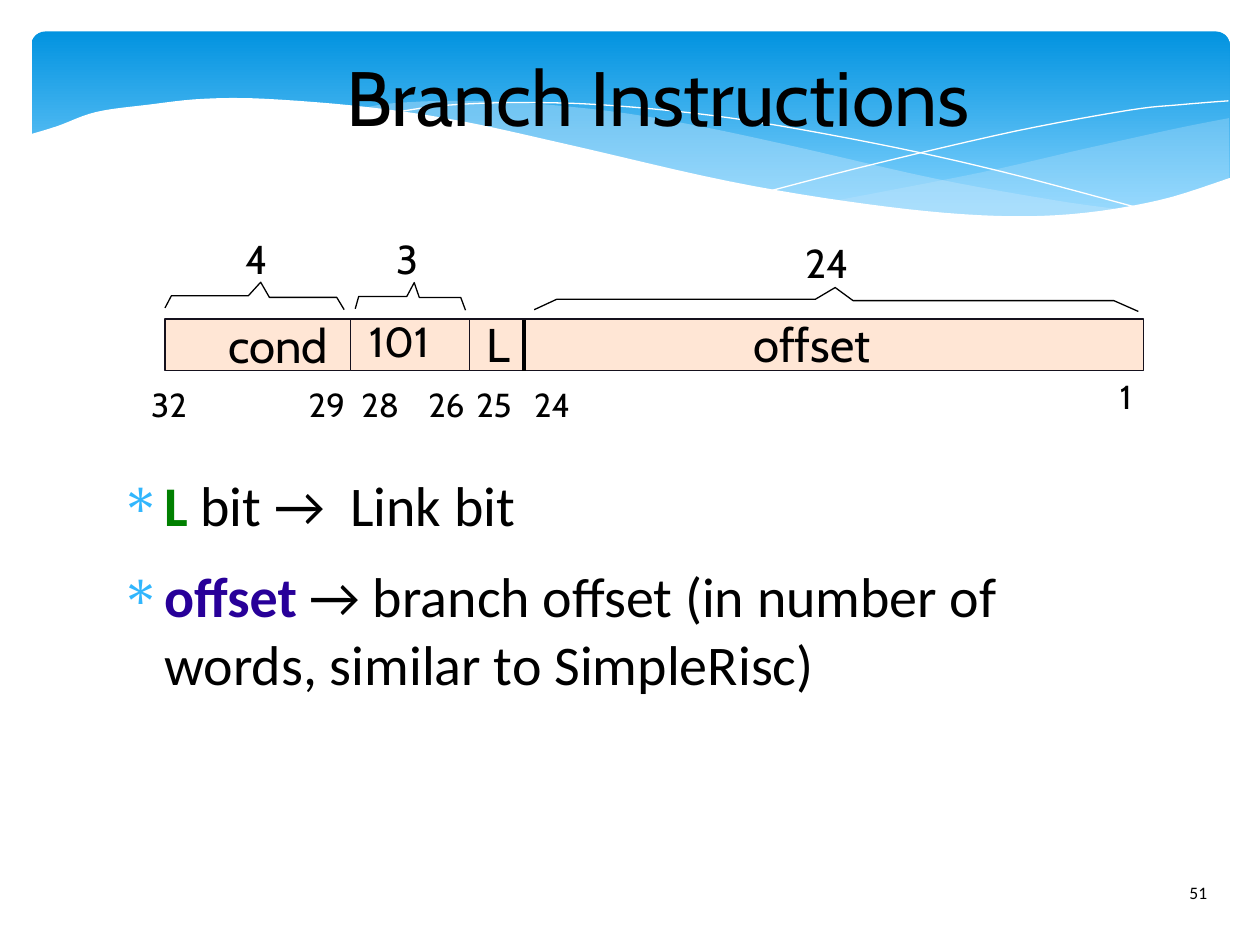
"""Build the Branch Instructions slide with its instruction format diagram."""
from dataclasses import dataclass
from typing import Optional

from lxml.etree import SubElement
from pptx import Presentation
from pptx.dml.color import RGBColor
from pptx.enum.shapes import MSO_CONNECTOR as CONN, MSO_SHAPE as SHAPE
from pptx.enum.text import MSO_ANCHOR as ANCHOR, PP_ALIGN as ALIGN
from pptx.oxml.ns import qn
from pptx.util import Pt

COLORS = {
    "black": "000000", "white": "FFFFFF", "wave": "C6E7FC",
    "sky": "0293E0", "pale": "83D3FE", "field": "FFE6D5", "edge": "15111D",
    "green": "008000", "purple": "280099", "bullet": "31B6FD",
}
Point = tuple[float, float]
Curve = list[Point]


@dataclass
class Outline:
    curves: list[Curve]
    fill: Optional[str] = None
    alpha: int = 100
    line: Optional[str] = None
    smooth: bool = True


@dataclass
class Label:
    text: str
    x: float
    y: float
    w: float
    size: float


@dataclass
class Run:
    text: str
    color: str = "black"
    bold: bool = False


WAVES = [
    Outline([
        [(702.5, 67.5), (672, 73.5), (620, 85), (561, 98.5), (476, 115)],
        [(476, 115), (527, 121), (570, 123.8), (608, 123.1), (652, 118.8),
         (683, 110.9), (702.5, 102)],
    ], "wave", 29),
    Outline([
        [(643, 120), (603, 114.5), (534, 102), (453, 83.5), (399, 72), (352, 64),
         (302, 59), (260, 57.6), (225, 59), (206, 62)],
        [(206, 62), (246, 67.5), (307, 79.5), (382, 97), (468, 113.8),
         (528, 121), (573, 124.2), (610, 124), (643, 120)],
    ], "wave", 40),
    Outline([[(222.5, 64.8), (254, 60.3), (300, 58.6), (352, 60.5), (419, 67.7),
              (500, 82), (572, 98), (653, 119.5)]], line="white"),
    Outline([[(441.4, 108.7), (500, 93.6), (580, 75), (645, 63), (675, 59.8),
              (702, 57.6)]], line="white"),
    Outline([
        [(703.4, 101.5), (662, 114.5), (612, 122.4), (560, 123), (495, 116.6),
         (417, 103.7), (322, 82), (263, 69.1), (210, 61.2), (152, 56.5),
         (116, 56.5), (85, 59.8), (55, 64), (33, 72), (16.6, 77)],
        [(16.6, 161), (703.4, 161)],
    ], "white"),
]
BRACES = [
    Outline([points], line="black", smooth=False) for points in (
        [(94.3, 176), (98, 169), (142, 169), (149, 161.3), (154, 170), (192.5, 170),
         (196.7, 177)],
        [(203, 176.5), (205, 169.4), (232.5, 169.4), (236.7, 161.5), (239.6, 170),
         (263.3, 170), (266, 177.3)],
        [(305.3, 177), (318.2, 171), (466, 171), (477.3, 164.3), (487.5, 171.8),
         (636.5, 171.8), (650.5, 178)],
    )
]
FIELD_EDGES = [94.3, 200.2, 268.4, 653.6]
LABELS = [
    Label("cond", 130.3, 180.7, 71, 27),
    Label("101", 211, 180, 53, 24),
    Label("L", 277.9, 180, 27, 27),
    Label("offset", 430.6, 180, 78, 27),
    Label("4", 140.4, 134, 24, 23),
    Label("3", 226.8, 134, 24, 23),
    Label("24", 460.1, 136, 37, 23),
    Label("1", 640, 215.3, 20, 19),
    *(Label(bit, x, 219.6, 31, 19) for bit, x in (
        ("32", 86.4), ("29", 176.4), ("28", 206.6), ("26", 244.8), ("25", 272.2),
        ("24", 305.3))),
]
BULLETS = [
    [Run("L", "green", True), Run(" bit →  Link bit")],
    [Run("offset", "purple", True),
     Run(" → branch offset (in number of words, similar to SimpleRisc)")],
]


def rgb(name: str) -> RGBColor:
    return RGBColor.from_string(COLORS[name])


def spline(points: Curve, steps: int = 6) -> Curve:
    if len(points) < 3:
        return points
    ends = [points[0], *points, points[-1]]
    out = [points[0]]
    for a, b, c, d in zip(ends, ends[1:], ends[2:], ends[3:]):
        for i in range(1, steps + 1):
            t = i / steps
            x, y = ((2 * q + (r - o) * t + (2 * o - 5 * q + 4 * r - s) * t ** 2
                     + (3 * q - o - 3 * r + s) * t ** 3) / 2
                    for o, q, r, s in zip(a, b, c, d))
            out.append((x, y))
    return out


def style(sp, fill: Optional[str], line: Optional[str]) -> None:
    sp.shadow.inherit = False
    if fill:
        sp.fill.solid()
        sp.fill.fore_color.rgb = rgb(fill)
    else:
        sp.fill.background()
    if line:
        sp.line.color.rgb = rgb(line)
        sp.line.width = Pt(0)
    else:
        sp.line.fill.background()


def add_outline(shapes, o: Outline) -> None:
    points = [p for c in o.curves for p in (spline(c) if o.smooth else c)]
    (x, y), *rest = [(Pt(px), Pt(py)) for px, py in points]
    builder = shapes.build_freeform(x, y, scale=1.0)
    builder.add_line_segments(rest, close=o.fill is not None)
    sp = builder.convert_to_shape()
    style(sp, o.fill, o.line)
    if o.alpha < 100:
        clr = sp.fill._xPr.find(qn("a:solidFill"))[0]
        SubElement(clr, qn("a:alpha")).set("val", str(o.alpha * 1000))


def add_box(shapes, x: float, y: float, w: float, h: float):
    tf = shapes.add_textbox(Pt(x), Pt(y), Pt(w), Pt(h)).text_frame
    tf.word_wrap = True
    tf.margin_left = tf.margin_top = tf.margin_right = tf.margin_bottom = Pt(0)
    return tf


def add_run(p, run: Run, size: float, font: str) -> None:
    r = p.add_run()
    r.text = run.text
    r.font.size, r.font.name, r.font.bold = Pt(size), font, run.bold
    r.font.color.rgb = rgb(run.color)


def set_bullet(p) -> None:
    pPr = p._p.get_or_add_pPr()
    pPr.set("marL", str(Pt(34)))
    pPr.set("indent", str(Pt(-25)))
    clr = SubElement(pPr, qn("a:buClr"))
    SubElement(clr, qn("a:srgbClr")).set("val", COLORS["bullet"])
    SubElement(pPr, qn("a:buFont")).set("typeface", "Symbol")
    SubElement(pPr, qn("a:buChar")).set("char", "∗")


def add_banner(shapes) -> None:
    sp = shapes.add_shape(SHAPE.ROUNDED_RECTANGLE, Pt(18), Pt(18), Pt(684.7), Pt(112.3))
    sp.adjustments[0] = 0.07
    style(sp, None, None)
    sp.fill.gradient()
    sp.fill.gradient_angle = 270
    for stop, name, pos in zip(sp.fill.gradient_stops, ("sky", "pale"), (0, 0.9)):
        stop.color.rgb = rgb(name)
        stop.position = pos
    for wave in WAVES:
        add_outline(shapes, wave)


def add_format(shapes) -> None:
    for left, right in zip(FIELD_EDGES, FIELD_EDGES[1:]):
        sp = shapes.add_shape(SHAPE.RECTANGLE, Pt(left), Pt(182.3), Pt(right - left), Pt(29.5))
        style(sp, "field", "edge")
    divider = shapes.add_connector(CONN.STRAIGHT, Pt(299.5), Pt(182.6), Pt(299.5), Pt(211.8))
    divider.line.color.rgb = rgb("black")
    divider.line.width = Pt(0)
    SubElement(divider._element.spPr, qn("a:effectLst"))
    for brace in BRACES:
        add_outline(shapes, brace)
    for label in LABELS:
        tf = add_box(shapes, label.x, label.y, label.w, label.size * 1.35)
        add_run(tf.paragraphs[0], Run(label.text), label.size, "Cabin")


def main() -> None:
    prs = Presentation()
    prs.slide_width, prs.slide_height = Pt(720), Pt(540)
    shapes = prs.slides.add_slide(prs.slide_layouts[6]).shapes
    add_banner(shapes)
    add_run(add_box(shapes, 679.7, 504, 36, 22).paragraphs[0], Run("51"), 10, "Calibri")
    title = add_box(shapes, 84.2, 18, 584, 73.4)
    title.vertical_anchor = ANCHOR.MIDDLE
    title.paragraphs[0].alignment = ALIGN.CENTER
    add_run(title.paragraphs[0], Run("Branch Instructions"), 44, "Cabin")
    body = add_box(shapes, 59.8, 268.6, 584, 188)
    for i, runs in enumerate(BULLETS):
        p = body.add_paragraph() if i else body.paragraphs[0]
        p.space_after = Pt(14.1)
        set_bullet(p)
        for run in runs:
            add_run(p, run, 32, "Calibri")
    add_format(shapes)
    prs.save("out.pptx")


main()
